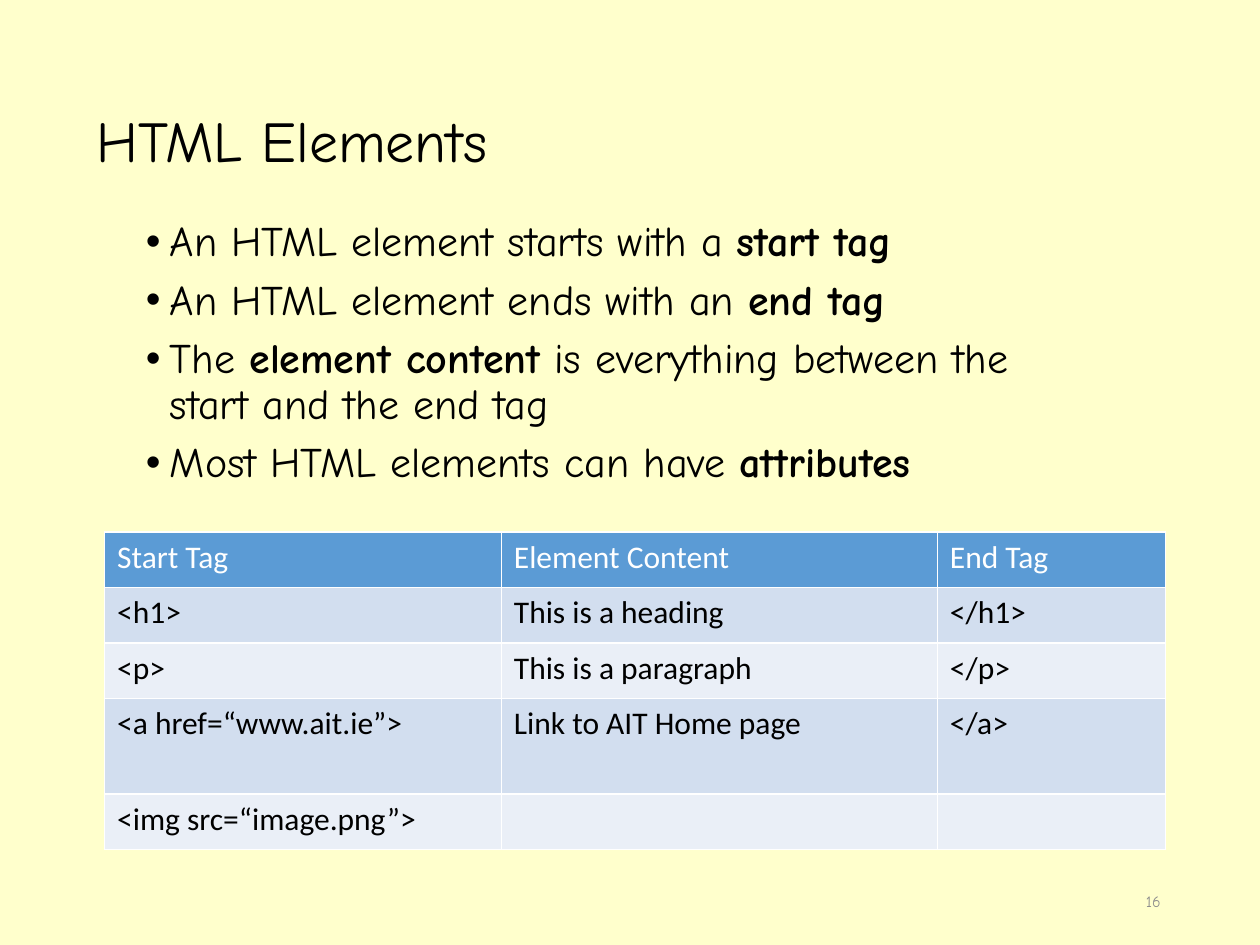
from dataclasses import dataclass

from lxml.etree import SubElement
from pptx import Presentation
from pptx.dml.color import RGBColor
from pptx.enum.text import MSO_ANCHOR, PP_ALIGN
from pptx.oxml.ns import qn
from pptx.util import Inches, Pt


@dataclass(frozen=True)
class Theme:
    paper: str = "FFFFCC"
    ink: str = "000000"
    muted: str = "8C8C8C"
    white: str = "FFFFFF"
    header: str = "5B9BD5"
    bands: tuple = ("D2DEEF", "EAEFF7")
    hand_font: str = "Comic Neue"
    table_font: str = "Calibri"
    title_size: float = 33
    bullet_size: float = 24
    table_size: float = 18
    number_size: float = 9
    border: float = 1


THEME = Theme()
WIDTH, HEIGHT = Inches(10), Inches(7.5)

BULLETS = [
    [("An HTML element starts with a ", False), ("start tag", True)],
    [("An HTML element ends with an ", False), ("end tag", True)],
    [("The ", False), ("element content", True),
     (" is everything between the start and the end tag", False)],
    [("Most HTML elements can have ", False), ("attributes", True)],
]
TAG_ROWS = [
    ("Start Tag", "Element Content", "End Tag"),
    ("<h1>", "This is a heading", "</h1>"),
    ("<p>", "This is a paragraph", "</p>"),
    ("<a href=“www.ait.ie”>", "Link to AIT Home page", "</a>"),
    ("<img src=“image.png”>", "", ""),
]
COLUMN_WEIGHTS = (37.4, 41.1, 21.5)
ROW_WEIGHTS = (11, 11, 11, 19, 11)


def share(left, top, width, height):
    """Turn percentages of the slide into a box."""
    return (int(WIDTH * left / 100), int(HEIGHT * top / 100),
            int(WIDTH * width / 100), int(HEIGHT * height / 100))


def add_run(paragraph, text, size, color, font=THEME.hand_font, bold=False):
    run = paragraph.add_run()
    run.text = text
    run.font.name = font
    run.font.size = Pt(size)
    run.font.bold = bold
    run.font.color.rgb = RGBColor.from_string(color)


def add_panel(slide, box, anchor):
    """Add a paper-coloured text box and return its text frame."""
    panel = slide.shapes.add_textbox(*box)
    panel.fill.solid()
    panel.fill.fore_color.rgb = RGBColor.from_string(THEME.paper)
    panel.text_frame.word_wrap = True
    panel.text_frame.vertical_anchor = anchor
    return panel.text_frame


def add_title(slide, box):
    heading = add_panel(slide, box, MSO_ANCHOR.MIDDLE).paragraphs[0]
    heading.line_spacing = 0.9
    add_run(heading, "HTML Elements", THEME.title_size, THEME.ink)


def add_bullets(slide, box):
    frame = add_panel(slide, box, MSO_ANCHOR.TOP)
    indent = Inches(0.19)
    for index, parts in enumerate(BULLETS):
        point = frame.add_paragraph() if index else frame.paragraphs[0]
        point.line_spacing = 0.9
        if index:
            point.space_before = Pt(7.5)
        # Hanging bullet
        properties = point._p.get_or_add_pPr()
        properties.set("marL", str(indent))
        properties.set("indent", str(-indent))
        SubElement(properties, qn("a:buFont"), typeface="Arial")
        SubElement(properties, qn("a:buChar"), char="•")
        for text, bold in parts:
            add_run(point, text, THEME.bullet_size, THEME.ink, bold=bold)


def add_page_number(slide, box):
    number = add_panel(slide, box, MSO_ANCHOR.MIDDLE).paragraphs[0]
    number.alignment = PP_ALIGN.RIGHT
    add_run(number, "16", THEME.number_size, THEME.muted)


def style_cell(cell, fill):
    # Borders come before the fill in the cell properties
    properties = cell._tc.get_or_add_tcPr()
    for side in ("a:lnL", "a:lnR", "a:lnT", "a:lnB"):
        line = SubElement(properties, qn(side), w=str(Pt(THEME.border)))
        SubElement(SubElement(line, qn("a:solidFill")), qn("a:srgbClr"),
                   val=THEME.white)
    cell.fill.solid()
    cell.fill.fore_color.rgb = RGBColor.from_string(fill)


def add_tag_table(slide, box):
    table = slide.shapes.add_table(len(TAG_ROWS), len(COLUMN_WEIGHTS), *box).table
    for column, weight in zip(table.columns, COLUMN_WEIGHTS):
        column.width = int(box[2] * weight / sum(COLUMN_WEIGHTS))
    for row, weight in zip(table.rows, ROW_WEIGHTS):
        row.height = int(box[3] * weight / sum(ROW_WEIGHTS))

    for r, texts in enumerate(TAG_ROWS):
        fill = THEME.bands[(r - 1) % 2] if r else THEME.header
        color = THEME.ink if r else THEME.white
        for c, text in enumerate(texts):
            cell = table.cell(r, c)
            style_cell(cell, fill)
            paragraph = cell.text_frame.paragraphs[0]
            if text:
                add_run(paragraph, text, THEME.table_size, color,
                        THEME.table_font)
            else:
                paragraph.font.size = Pt(THEME.table_size)


def main():
    deck = Presentation()
    deck.slide_width, deck.slide_height = WIDTH, HEIGHT
    slide = deck.slides.add_slide(deck.slide_layouts[6])
    slide.background.fill.solid()
    slide.background.fill.fore_color.rgb = RGBColor.from_string(THEME.paper)

    add_title(slide, share(6.7, 6.9, 76.8, 16.7))
    add_bullets(slide, share(10.6, 22.7, 74.1, 51.2))
    add_page_number(slide, share(70.6, 92.7, 22.5, 5.3))
    add_tag_table(slide, share(8.3, 56.3, 84.2, 33.6))
    deck.save("out.pptx")


if __name__ == "__main__":
    main()
